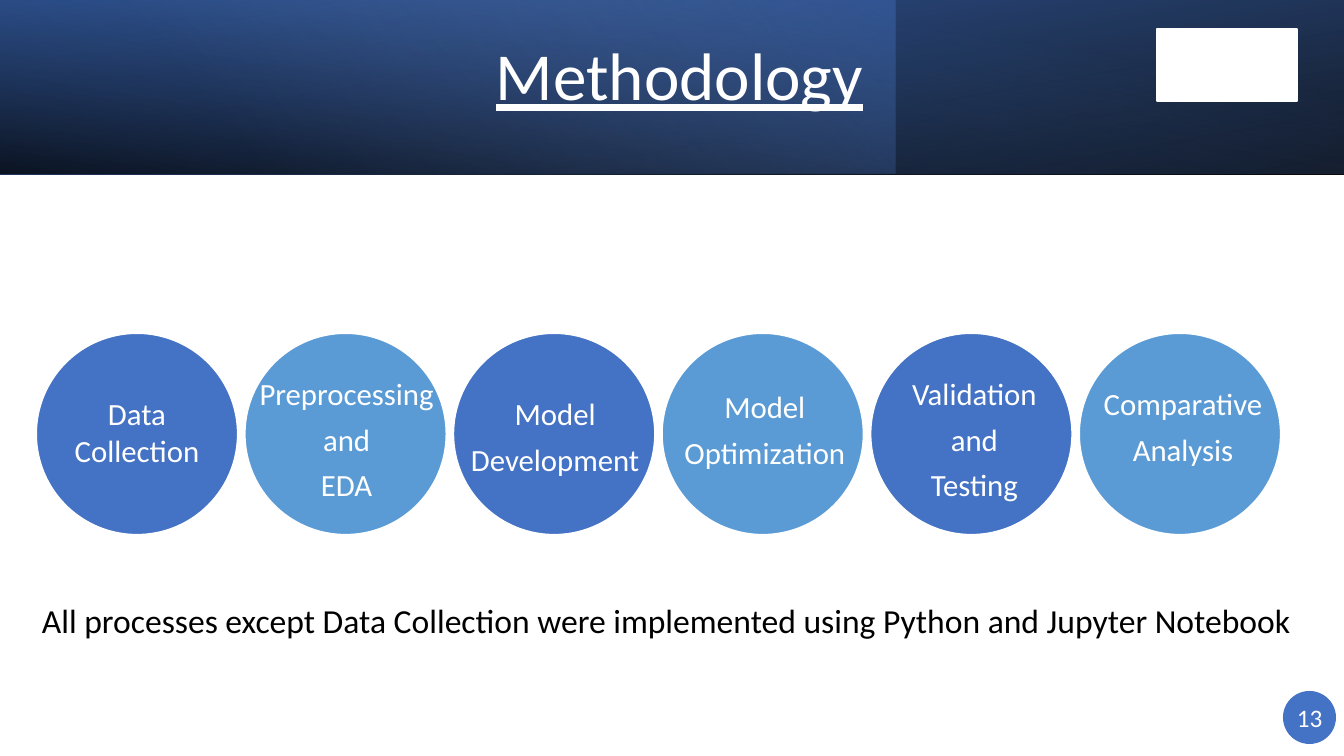
from dataclasses import dataclass
from lxml.etree import SubElement
from pptx import Presentation
from pptx.dml.color import RGBColor
from pptx.enum.shapes import MSO_SHAPE
from pptx.enum.text import MSO_ANCHOR, PP_ALIGN
from pptx.oxml.ns import qn
from pptx.util import Pt

EMU_PER_PX = 914400 / 100.8


@dataclass(frozen=True)
class Theme:
    font: str = "Calibri"
    white: str = "FFFFFF"
    black: str = "000000"
    navy: str = "2F5597"
    blue: str = "4472C4"
    sky: str = "5B9BD5"
    pale: str = "8FAADC"
    title: int = 48
    note: int = 24
    step: int = 22
    number: int = 18
    outline: float = 1.5


THEME = Theme()

# label lines, label shift right, label top below the circle's top
STEPS = [
    (["Data Collection"], 0, 57),
    (["Preprocessing", "and", "EDA"], 1, 37),
    (["Model", "Development"], 1, 57),
    (["Model", "Optimization"], 2, 50),
    (["Validation", "and", "Testing"], 3, 37),
    (["Comparative", "Analysis"], 3, 47),
]


def px(*lengths):
    return [round(length * EMU_PER_PX) for length in lengths]


def add_shape(page, kind, box, color=None, outline=None):
    shape = page.shapes.add_shape(kind, *px(*box))
    shape.shadow.inherit = False
    if color:
        shape.fill.solid()
        shape.fill.fore_color.rgb = RGBColor.from_string(color)
    if outline:
        shape.line.color.rgb = RGBColor.from_string(outline)
        shape.line.width = Pt(THEME.outline)
    else:
        shape.line.fill.background()
    return shape


def add_gradient(page, box, stops, angle, flip=False, rotation=0):
    """Stops are (position %, color, opacity %); the angle runs clockwise."""
    shape = add_shape(page, MSO_SHAPE.RECTANGLE, box)
    shape.rotation = rotation
    shape.fill.gradient()
    shape.fill.gradient_angle = 360 - angle
    for stop, (position, color, _) in zip(shape.fill.gradient_stops, stops):
        stop.position = position / 100
        stop.color.rgb = RGBColor.from_string(color)
    properties = shape._element.spPr
    for color, (_, _, opacity) in zip(properties.iter(qn("a:srgbClr")), stops):
        SubElement(color, qn("a:alpha"), val=str(opacity * 1000))
    if flip:
        properties.find(qn("a:xfrm")).set("flipH", "1")


def add_text(page, box, lines, size, color, align=PP_ALIGN.LEFT,
             anchor=MSO_ANCHOR.TOP, spacing=None, after=6, underline=None):
    frame = page.shapes.add_textbox(*px(*box)).text_frame
    frame.word_wrap = True
    frame.vertical_anchor = anchor
    paragraph_format = {"alignment": align, "line_spacing": spacing,
                        "space_after": Pt(after)}
    font_format = {"name": THEME.font, "size": Pt(size), "underline": underline}
    for index, line in enumerate(lines):
        para = frame.add_paragraph() if index else frame.paragraphs[0]
        for name, value in paragraph_format.items():
            setattr(para, name, value)
        span = para.add_run()
        span.text = line
        for name, value in font_format.items():
            setattr(span.font, name, value)
        span.font.color.rgb = RGBColor.from_string(color)


def add_header(page, box):
    left, top, width, height = box
    add_gradient(page, box, [(0, THEME.black, 96), (100, THEME.navy, 100)],
                 100, flip=True, rotation=180)
    add_gradient(page, (left, top, width * 2 // 3, height),
                 [(0, THEME.blue, 41), (74, THEME.pale, 0)], 140)
    add_gradient(page, box, [(0, THEME.black, 63), (78, THEME.blue, 15)],
                 260, flip=True)
    add_text(page, (left + 486, top + 15, 437, 128), ["Methodology"],
             THEME.title, THEME.white, anchor=MSO_ANCHOR.MIDDLE,
             spacing=0.9, underline=True)
    add_shape(page, MSO_SHAPE.RECTANGLE, (left + width - 187, top + 29, 140, 72),
              THEME.white, THEME.white)


def add_steps(page, box):
    left, top, width, size = box
    pitch = (width - size) / (len(STEPS) - 1)
    for index, (lines, shift, drop) in enumerate(STEPS):
        x = left + index * pitch
        color = THEME.sky if index % 2 else THEME.blue
        add_shape(page, MSO_SHAPE.OVAL, (x, top, size, size), color, THEME.white)
        add_text(page, (x + shift, top + drop, size, size - 2 * drop), lines,
                 THEME.step, THEME.white, PP_ALIGN.CENTER)


def add_page_number(page, box):
    left, top, width, height = box
    add_shape(page, MSO_SHAPE.OVAL, box, THEME.blue)
    add_text(page, (left + 4, top + 6, width - 4, height - 13), ["13"],
             THEME.number, THEME.white, after=0)


def main():
    deck = Presentation()
    deck.slide_width, deck.slide_height = px(1344, 756)
    page = deck.slides.add_slide(deck.slide_layouts[6])
    add_header(page, (0, 0, 1344, 174))
    add_steps(page, (36, 333, 1245, 202))
    add_text(page, (32, 595, 1274, 50),
             ["All processes except Data Collection were implemented "
              "using Python and Jupyter Notebook"], THEME.note, THEME.black)
    add_page_number(page, (1283, 691, 53, 53))
    deck.save("out.pptx")


if __name__ == "__main__":
    main()
